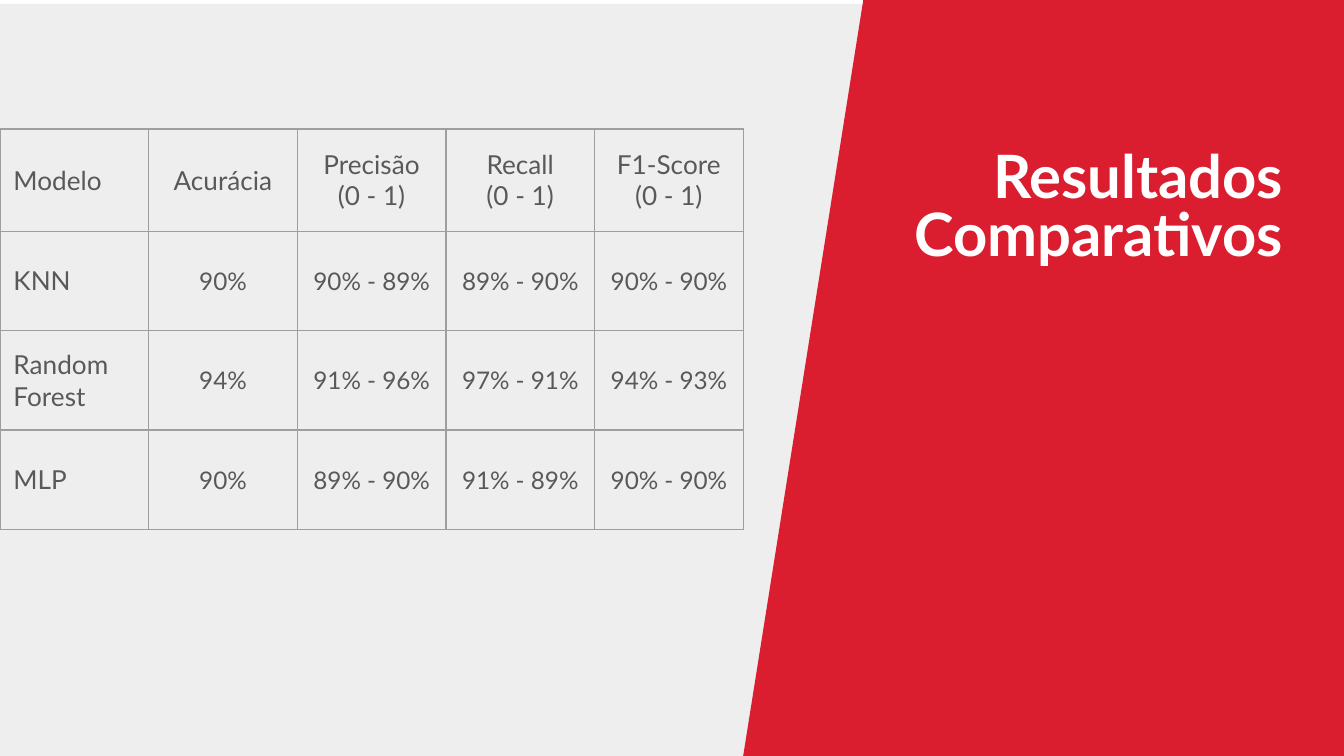
from lxml import etree
from pptx import Presentation
from pptx.dml.color import RGBColor
from pptx.enum.shapes import MSO_SHAPE
from pptx.enum.text import MSO_ANCHOR, MSO_AUTO_SIZE, PP_ALIGN
from pptx.oxml import parse_xml
from pptx.oxml.ns import nsdecls
from pptx.util import Inches, Pt

LEFT, CENTER, RIGHT = PP_ALIGN.LEFT, PP_ALIGN.CENTER, PP_ALIGN.RIGHT
MIDDLE = MSO_ANCHOR.MIDDLE
RECTANGLE, SLANTED = MSO_SHAPE.RECTANGLE, MSO_SHAPE.FLOWCHART_MANUAL_INPUT
GRAY, RED, WHITE, INK, RULE = "EEEEEE", "DB1E2F", "FFFFFF", "595959", "9E9E9E"


def color(value):
    return RGBColor.from_string(value)


def write(frame, text, size, ink=INK, align=LEFT, bold=False, spacing=None):
    frame.text = text
    for paragraph in frame.paragraphs:
        paragraph.alignment = align
        paragraph.line_spacing = spacing
        for run in paragraph.runs:
            run.font.name = "Lato"
            run.font.size = Pt(size)
            run.font.bold = bold
            run.font.color.rgb = color(ink)


prs = Presentation()
prs.slide_width = Inches(10)
prs.slide_height = prs.slide_width * 9 // 16
width, height = prs.slide_width, prs.slide_height
slide = prs.slides.add_slide(prs.slide_layouts[5])

# Gray background and the slanted red panel, which is drawn lying and turned upright
backdrop = slide.shapes.add_shape(
    RECTANGLE, 0, Inches(0.03), Inches(6.76), height)
panel_width = Inches(4.47)
panel_left = width - panel_width
panel = slide.shapes.add_shape(
    SLANTED, panel_left + (panel_width - height) // 2,
    (height - panel_width) // 2, height, panel_width)
panel.rotation = 270
panel._element.spPr.find("{*}xfrm").set("flipH", "1")
for area, fill in ((backdrop, GRAY), (panel, RED)):
    area.shadow.inherit = False
    area.fill.solid()
    area.fill.fore_color.rgb = color(fill)
    area.line.fill.background()

# Title over the panel
title = slide.shapes.title
slide.shapes._spTree.append(title._element)
title.left, title.top = Inches(6.43), Inches(0.96)
title.width, title.height = Inches(3.22), Inches(1.21)
write(title.text_frame, "Resultados Comparativos", 32, ink=WHITE,
      align=RIGHT, bold=True, spacing=0.8)
title.text_frame.word_wrap = True
title.text_frame.auto_size = MSO_AUTO_SIZE.NONE
title.text_frame.vertical_anchor = MIDDLE

# Results table, from the slide's left edge to the foot of the panel
results = [
    ["Modelo", "Acurácia", "Precisão (0 - 1)", "Recall\n(0 - 1)", "F1-Score (0 - 1)"],
    ["KNN", "90%", "90% - 89%", "89% - 90%", "90% - 90%"],
    ["Random Forest", "94%", "91% - 96%", "97% - 91%", "94% - 93%"],
    ["MLP", "90%", "89% - 90%", "91% - 89%", "90% - 90%"],
]
row_heights = [Inches(0.76)] + [Inches(0.74)] * 3
table = slide.shapes.add_table(
    len(results), len(results[0]), 0, Inches(0.96),
    panel_left, sum(row_heights)).table
table.first_row = table.horz_banding = False
for row, row_height in zip(table.rows, row_heights):
    row.height = row_height

for r, values in enumerate(results):
    for c, value in enumerate(values):
        cell = table.cell(r, c)
        write(cell.text_frame, value, 14 if r == 0 or c == 0 else 13,
              align=CENTER if c else LEFT)
        cell.vertical_anchor = MIDDLE
        cell.margin_left = cell.margin_right = Inches(0.1)
        cell.margin_top = cell.margin_bottom = Inches(0.1)
        properties = cell._tc.get_or_add_tcPr()
        for side in ("lnL", "lnR", "lnT", "lnB"):
            border = parse_xml(f'<a:{side} {nsdecls("a")} w="{Pt(0.75)}"/>')
            fill = etree.SubElement(border, "{%s}solidFill" % border.nsmap["a"])
            etree.SubElement(fill, "{%s}srgbClr" % border.nsmap["a"], val=RULE)
            properties.append(border)
        cell.fill.background()

prs.save("out.pptx")
